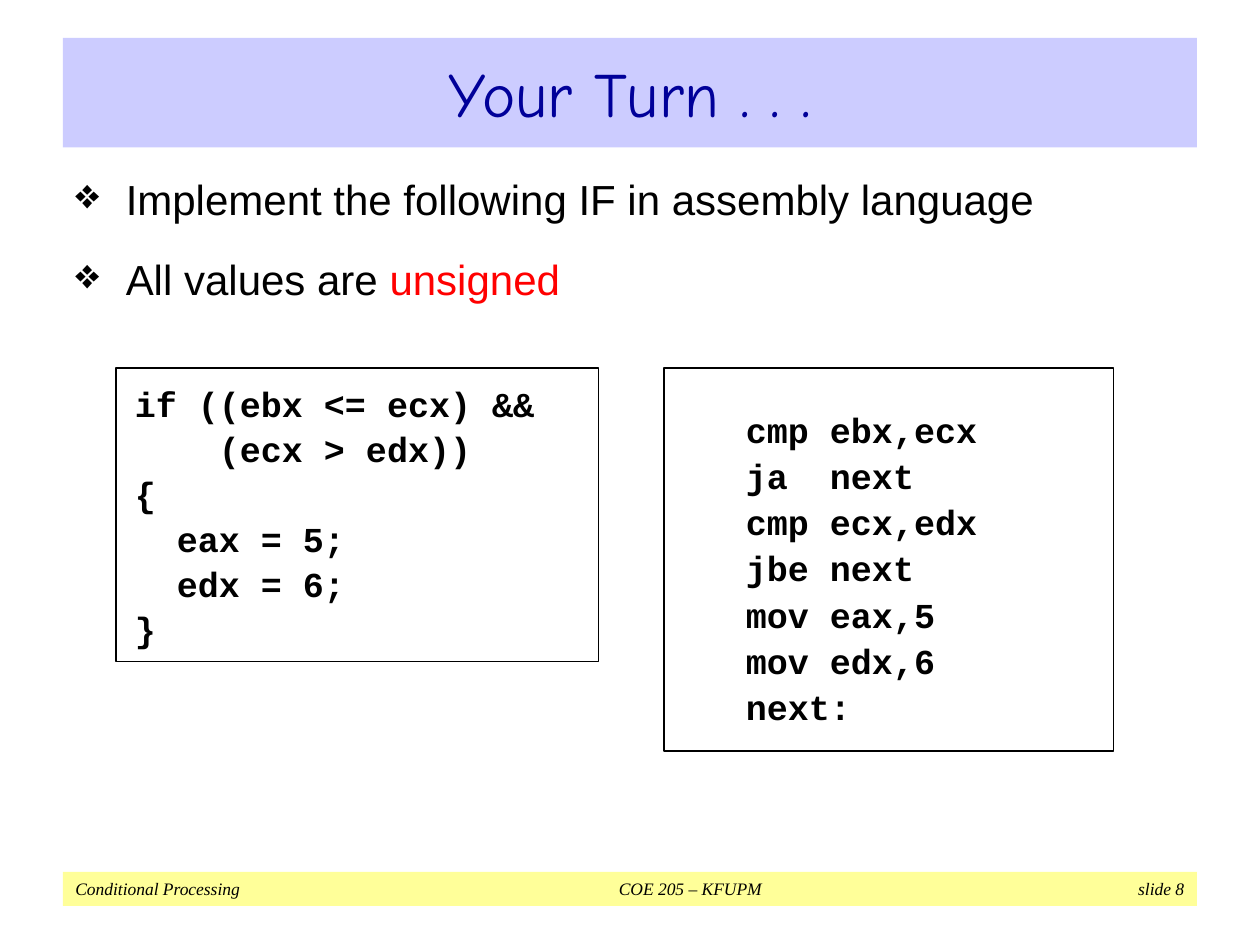
from lxml.etree import SubElement
from pptx import Presentation
from pptx.dml.color import RGBColor
from pptx.enum.shapes import MSO_SHAPE
from pptx.enum.text import MSO_ANCHOR, PP_ALIGN
from pptx.oxml.ns import qn
from pptx.util import Inches, Pt

COLORS = {
    "title_band": "CCCCFF", "title": "000099", "footer_band": "FFFF99",
    "text": "000000", "accent": "FF0000",
}
IF_STATEMENT = [
    "if ((ebx <= ecx) &&",
    "    (ecx > edx))",
    "{",
    "  eax = 5;",
    "  edx = 6;",
    "}",
]
ASSEMBLY = [
    "cmp ebx,ecx", "ja  next", "cmp ecx,edx", "jbe next",
    "mov eax,5", "mov edx,6", "next:",
]


def rgb(name):
    return RGBColor.from_string(COLORS[name])


def add_run(paragraph, text, font, size, color="text", bold=False, italic=False):
    run = paragraph.add_run()
    run.text = text
    run.font.name = font
    run.font.size = Pt(size)
    run.font.color.rgb = rgb(color)
    run.font.bold = bold
    run.font.italic = italic


def add_panel(slide, box, fill=None, outline=None):
    """Add a flat rectangle and return its text frame, centred vertically."""
    panel = slide.shapes.add_shape(MSO_SHAPE.RECTANGLE, *map(Inches, box))
    panel.shadow.inherit = False
    if fill:
        panel.fill.solid()
        panel.fill.fore_color.rgb = rgb(fill)
    else:
        panel.fill.background()
    if outline:
        panel.line.color.rgb = rgb(outline)
        panel.line.width = Pt(0.75)
    else:
        panel.line.fill.background()
    frame = panel.text_frame
    frame.word_wrap = True
    frame.vertical_anchor = MSO_ANCHOR.MIDDLE
    return frame


def paragraphs(frame, count):
    """Yield the frame's first paragraph, then new ones up to count."""
    yield frame.paragraphs[0]
    for _ in range(count - 1):
        yield frame.add_paragraph()


def add_title(slide, box, text):
    heading = add_panel(slide, box, fill="title_band").paragraphs[0]
    heading.alignment = PP_ALIGN.CENTER
    add_run(heading, text, "Comic Neue", 36, "title")


def add_bullets(slide, box, items):
    """Each item is a list of (text, color) parts."""
    frame = slide.shapes.add_textbox(*map(Inches, box)).text_frame
    frame.word_wrap = True
    for index, (bullet, parts) in enumerate(zip(paragraphs(frame, len(items)), items)):
        bullet.line_spacing = 1.2
        bullet.space_before = Pt(11 if index else 0)
        properties = bullet._p.get_or_add_pPr()
        properties.set("marL", str(Inches(0.4)))
        properties.set("indent", str(Inches(-0.4)))
        SubElement(properties, qn("a:buChar"), char="❖")
        for text, color in parts:
            add_run(bullet, text, "Arial", 24, color)


def add_code(slide, box, lines, pitch, gap=0, indent=0, top=0):
    """Pitch is the line height and gap the space between lines, in points."""
    frame = add_panel(slide, box, outline="text")
    frame.margin_left = frame.margin_right = Inches(0.15)
    frame.margin_top, frame.margin_bottom = Inches(top), 0
    for index, (line, code) in enumerate(zip(paragraphs(frame, len(lines)), lines)):
        line.alignment = PP_ALIGN.LEFT
        line.line_spacing = Pt(pitch)
        line.space_before = Pt(gap if index else 0)
        line._p.get_or_add_pPr().set("marL", str(Inches(indent)))
        add_run(line, code, "Courier New", 20, bold=True)


def add_footer(slide, box, course_parts):
    frame = add_panel(slide, box, fill="footer_band")
    frame.margin_top = frame.margin_bottom = 0
    footer = frame.paragraphs[0]
    footer.alignment = PP_ALIGN.LEFT
    tabs = SubElement(footer._p.get_or_add_pPr(), qn("a:tabLst"))
    for position, align in ((4.88, "ctr"), (8.8, "r")):
        SubElement(tabs, qn("a:tab"), pos=str(Inches(position)), algn=align)
    add_run(footer, "\t".join(course_parts), "Times New Roman", 10, italic=True)


def main():
    deck = Presentation()
    deck.slide_width, deck.slide_height = Inches(10), Inches(7.5)
    slide = deck.slides.add_slide(deck.slide_layouts[6])
    add_footer(slide, (0.5, 6.92, 9, 0.27),
               ["Conditional Processing", "COE 205 – KFUPM", "slide 8"])
    add_title(slide, (0.5, 0.3, 9, 0.87), "Your Turn . . .")
    add_bullets(slide, (0.5, 1.25, 9, 1.53), [
        [("Implement the following IF in assembly language", "text")],
        [("All values are ", "text"), ("unsigned", "accent")],
    ])
    add_code(slide, (5.27, 2.92, 3.57, 3.04), ASSEMBLY, pitch=26.4, indent=0.5, top=0.1)
    add_code(slide, (0.92, 2.92, 3.83, 2.33), IF_STATEMENT, pitch=21.6, gap=4.1, top=0.06)
    deck.save("out.pptx")


if __name__ == "__main__":
    main()
